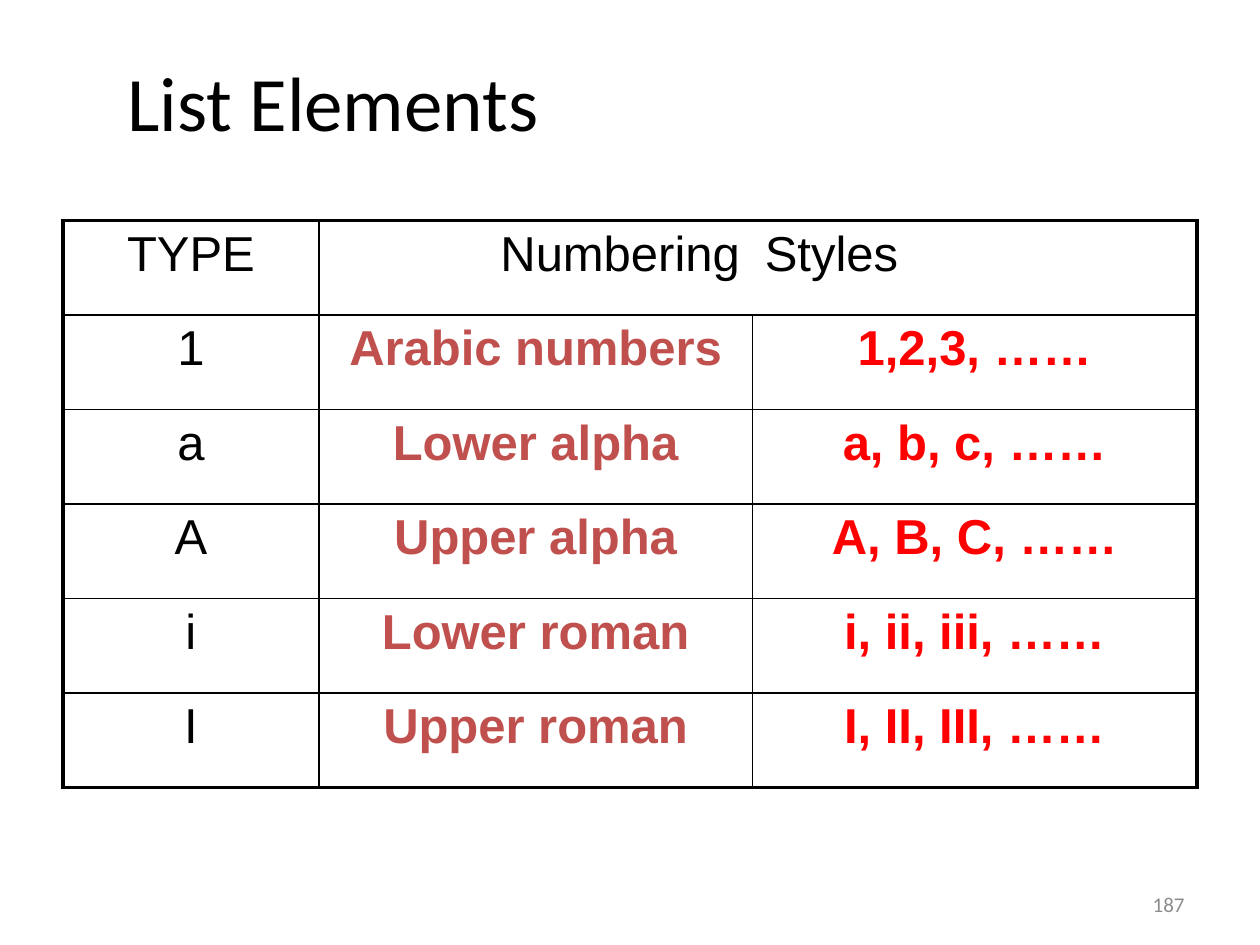
from lxml import etree
from pptx import Presentation
from pptx.dml.color import RGBColor
from pptx.enum import text
from pptx.oxml import ns
from pptx.util import Pt

BLACK = RGBColor(0x00, 0x00, 0x00)
GRAY = RGBColor(0x8C, 0x8C, 0x8C)
BRICK = RGBColor(0xC0, 0x50, 0x4D)
RED = RGBColor(0xFF, 0x00, 0x00)
WHITE = RGBColor(0xFF, 0xFF, 0xFF)

LEFT, CENTER, RIGHT = text.PP_ALIGN.LEFT, text.PP_ALIGN.CENTER, text.PP_ALIGN.RIGHT
THIN, THICK = 1, 2.25
COLUMNS = (146.2, 247.7, 254.1)
ROWS = (
    ("TYPE", "Numbering", "Styles"),
    ("1", "Arabic numbers", "1,2,3, ……"),
    ("a", "Lower alpha", "a, b, c, ……"),
    ("A", "Upper alpha", "A, B, C, ……"),
    ("i", "Lower roman", "i, ii, iii, ……"),
    ("I", "Upper roman", "I, II, III, ……"),
)
HEADER_FORMAT = ((CENTER, BLACK, False), (RIGHT, BLACK, False), (LEFT, BLACK, False))
BODY_FORMAT = ((CENTER, BLACK, False), (CENTER, BRICK, True), (CENTER, RED, True))


def write(tf, words, size, font="Calibri", color=BLACK, bold=False, align=LEFT):
    p = tf.paragraphs[0]
    p.alignment = align
    r = p.add_run()
    r.text = words
    r.font.name, r.font.size, r.font.bold = font, Pt(size), bold
    r.font.color.rgb = color


def add_label(s, box, words, size, fill=None, **fmt):
    sp = s.shapes.add_textbox(*map(Pt, box))
    if fill is not None:
        sp.fill.solid()
        sp.fill.fore_color.rgb = fill
    tf = sp.text_frame
    tf.word_wrap = True
    tf.vertical_anchor = text.MSO_ANCHOR.MIDDLE
    write(tf, words, size, **fmt)


def set_borders(cell, **widths):
    """Draw the sides L, R, T, B in points; a width of 0 hides the side."""
    tc_pr = cell._tc.get_or_add_tcPr()
    for i, side in enumerate("LRTB"):
        ln = etree.Element(ns.qn(f"a:ln{side}"), w=str(Pt(widths[side])))
        if widths[side]:
            fill = etree.SubElement(ln, ns.qn("a:solidFill"))
            etree.SubElement(fill, ns.qn("a:srgbClr"), val=str(BLACK))
        else:
            etree.SubElement(ln, ns.qn("a:noFill"))
        tc_pr.insert(i, ln)


def add_styles_table(s, box):
    last_row, last_col = len(ROWS) - 1, len(COLUMNS) - 1
    table = s.shapes.add_table(len(ROWS), len(COLUMNS), *map(Pt, box)).table
    table.first_row = table.horz_banding = False
    for column, width in zip(table.columns, COLUMNS):
        column.width = Pt(width)
    for i, row in enumerate(ROWS):
        table.rows[i].height = Pt(box[3] / len(ROWS))
        for j, words in enumerate(row):
            cell = table.cell(i, j)
            align, color, bold = (BODY_FORMAT if i else HEADER_FORMAT)[j]
            write(cell.text_frame, words, 28, font="Arial",
                  color=color, bold=bold, align=align)
            cell.fill.background()
            set_borders(
                cell,
                L=THICK if j == 0 else 0 if (i, j) == (0, 2) else THIN,
                R=THICK if j == last_col else 0 if (i, j) == (0, 1) else THIN,
                T=THICK if i == 0 else THIN,
                B=THICK if i == last_row else THIN,
            )


def main():
    prs = Presentation()
    prs.slide_width, prs.slide_height = Pt(720), Pt(540)
    s = prs.slides.add_slide(prs.slide_layouts[6])
    add_label(s, (516, 507, 168, 19.2), "187", 12, color=GRAY, align=RIGHT)
    add_label(s, (65.5, 21.6, 612.7, 72), "List Elements", 44, fill=WHITE)
    add_styles_table(s, (36, 126, 648, 324))
    prs.save("out.pptx")


if __name__ == "__main__":
    main()
